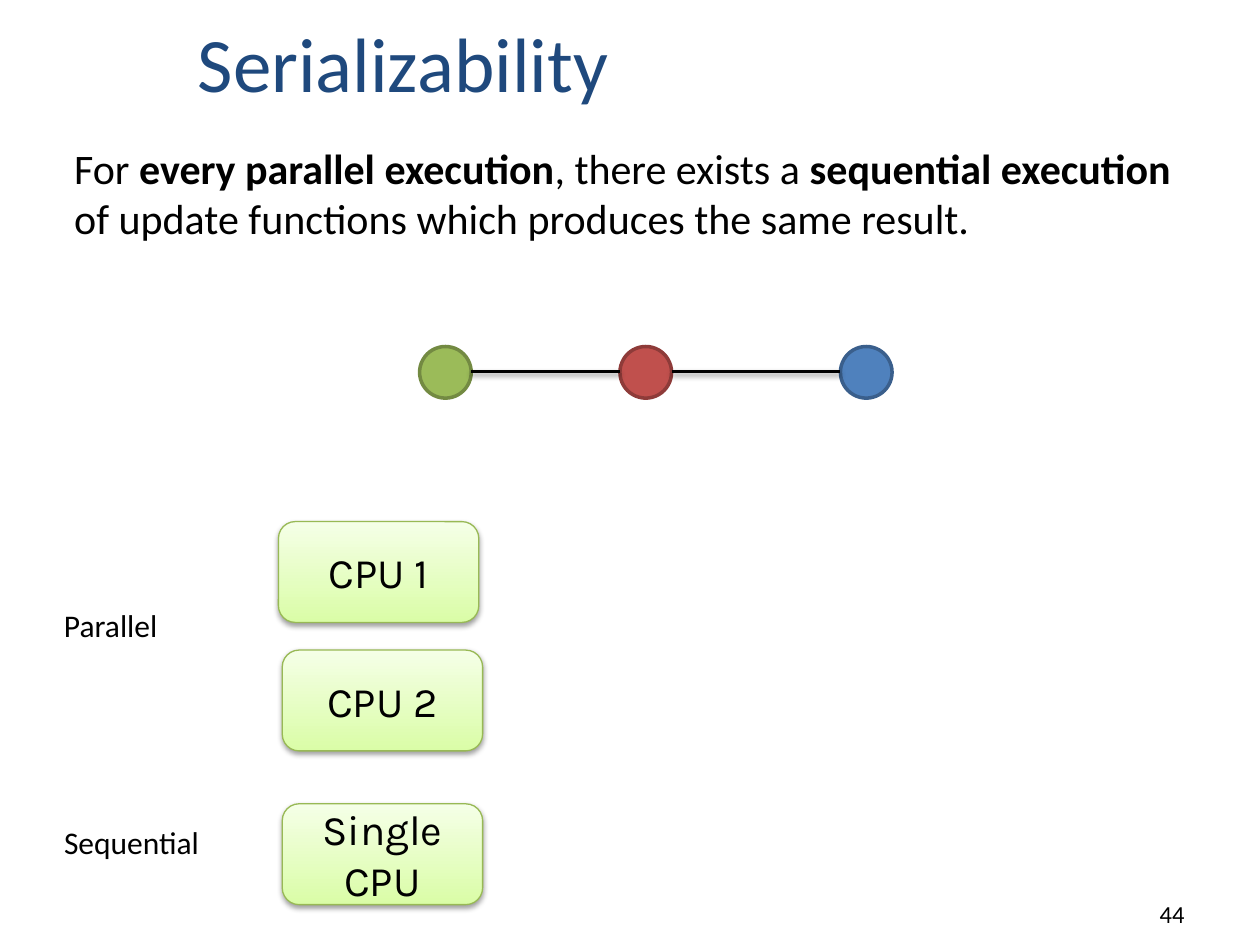
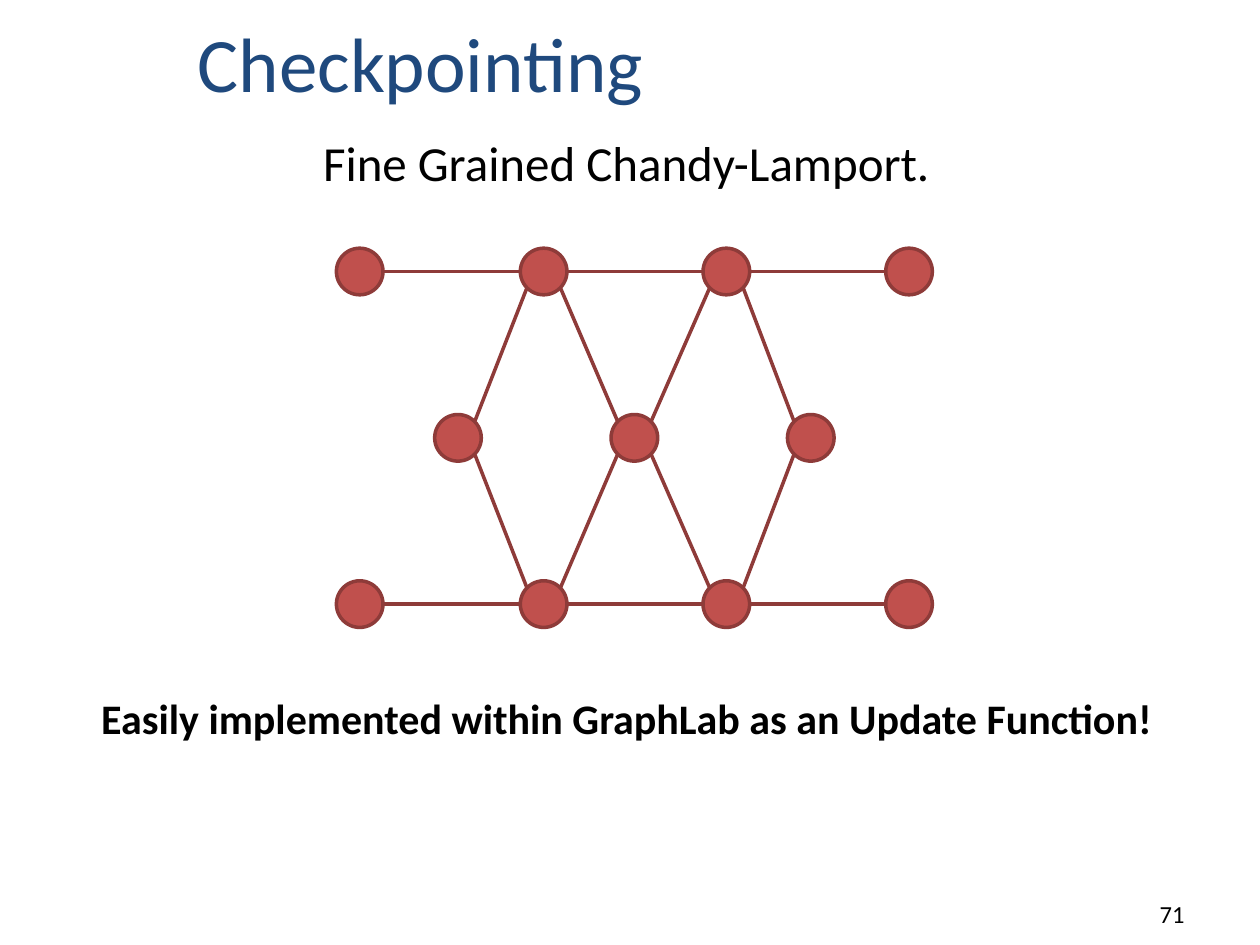
from itertools import pairwise
from lxml import etree
from pptx import Presentation
from pptx.dml.color import RGBColor as RGB
from pptx.enum.shapes import MSO_CONNECTOR as LINK, MSO_SHAPE as FORM
from pptx.enum.text import MSO_ANCHOR as ANCHOR, PP_ALIGN as ALIGN
from pptx.oxml.ns import qn
from pptx.util import Pt

PX = 9144
HUES = {
    "title": "1F497D", "ink": "000000",
    "red": "C0504D", "red edge": "8E3B39",
    "blue": "4F81BD", "blue edge": "3A5F8C",
    "green": "9BBB59", "green edge": "738A42",
    "cpu low": "DAFDA7", "cpu high": "F5FFE7", "cpu edge": "98B955",
}
HUES = {name: RGB.from_string(code) for name, code in HUES.items()}


def dot(tree, x, y, size, hue):
    disc = tree.add_shape(FORM.OVAL, x * PX, y * PX, size * PX, size * PX)
    disc.shadow.inherit = False
    disc.fill.solid()
    disc.fill.fore_color.rgb = HUES[hue]
    disc.line.color.rgb = HUES[hue + " edge"]
    disc.line.width = Pt(2)


def join(tree, ends, hue):
    x1, y1, x2, y2 = [round(v * PX) for v in ends]
    wire = tree.add_connector(LINK.STRAIGHT, x1, y1, x2, y2)
    wire.line.color.rgb = HUES[hue]
    wire.line.width = Pt(2)
    etree.SubElement(wire._element.spPr, qn("a:effectLst"))
    return wire


deck = Presentation()
deck.slide_width, deck.slide_height = 1000 * PX, 750 * PX

plans = [
    (5, "Serializability", "44", [
        ((49, 108, 900, 91), 24, ALIGN.LEFT, [
            ("For ", False), ("every parallel execution", True),
            (", there exists a ", False), ("sequential execution ", True),
            ("of update functions which produces the same result.", False)]),
        ((41, 476, 126, 50), 18, ALIGN.LEFT, [("Parallel", False)]),
        ((41, 648, 175, 50), 18, ALIGN.LEFT, [("Sequential", False)]),
    ]),
    (1, "Checkpointing", "71", [
        ((28, 545, 939, 50), 24, ALIGN.CENTER, [
            ("Easily implemented within GraphLab as an Update Function!", True)]),
    ]),
]

for kind, name, page, notes in plans:
    slide = deck.slides.add_slide(deck.slide_layouts[kind])
    head = slide.shapes.title
    head.left, head.top, head.width, head.height = [v * PX for v in (147, 8, 820, 83)]
    head.text_frame.text = name
    head.text_frame.vertical_anchor = ANCHOR.BOTTOM
    para = head.text_frame.paragraphs[0]
    para.alignment = ALIGN.LEFT
    para.font.name, para.font.size = "Calibri", Pt(44)
    para.font.color.rgb = HUES["title"]

    foot = ((742, 692, 208, 50), 14, ALIGN.RIGHT, [(page, False)])
    for box, size, align, runs in notes + [foot]:
        frame = slide.shapes.add_textbox(*[v * PX for v in box]).text_frame
        frame.word_wrap = True
        frame.vertical_anchor = ANCHOR.BOTTOM if runs[0][0] == page else ANCHOR.TOP
        para = frame.paragraphs[0]
        para.alignment = align
        para.font.name, para.font.size = "Calibri", Pt(size)
        para.font.color.rgb = HUES["ink"]
        for words, bold in runs:
            run = para.add_run()
            run.text = words
            run.font.bold = bold

serial, check = deck.slides

shaded = []
for x, y, words in [(221, 414, "CPU 1"), (224, 516, "CPU 2"), (224, 638, "Single\nCPU")]:
    cpu = serial.shapes.add_shape(FORM.ROUNDED_RECTANGLE, x * PX, y * PX, 159 * PX, 80 * PX)
    cpu.shadow.inherit = False
    cpu.fill.gradient()
    cpu.fill.gradient_angle = 90
    for stop, hue in zip(cpu.fill.gradient_stops, ("cpu low", "cpu high")):
        stop.color.rgb = HUES[hue]
    cpu.line.color.rgb = HUES["cpu edge"]
    cpu.line.width = Pt(0.75)
    frame = cpu.text_frame
    frame.text = words
    frame.word_wrap = False
    frame.vertical_anchor = ANCHOR.MIDDLE
    for para in frame.paragraphs:
        para.alignment = ALIGN.CENTER
        para.font.name, para.font.size = "Karla", Pt(24)
        para.font.color.rgb = HUES["ink"]
    shaded.append(cpu)

chain = [(333, "green"), (492, "red"), (667, "blue")]
for x, hue in chain:
    dot(serial.shapes, x, 275, 41, hue)
for (left, _), (right, _) in pairwise(chain):
    shaded.append(join(serial.shapes, (left + 41, 295, right, 295), "ink"))

for shape in shaded:
    glow = shape._element.spPr.find(qn("a:effectLst"))
    cast = etree.SubElement(glow, qn("a:outerShdw"), blurRad="40000", dist="20000",
                            dir="5400000", rotWithShape="0")
    tint = etree.SubElement(cast, qn("a:srgbClr"), val="000000")
    etree.SubElement(tint, qn("a:alpha"), val="38000")

body = check.placeholders[1]
body.left, body.top, body.width, body.height = [v * PX for v in (43, 100, 908, 58)]
body.text_frame.text = "Fine Grained Chandy-Lamport."
para = body.text_frame.paragraphs[0]
props = para._p.get_or_add_pPr()
props.set("marL", "0")
props.set("indent", "0")
etree.SubElement(props, qn("a:buNone"))
para.alignment = ALIGN.CENTER
para.space_before = Pt(0)
para.font.name, para.font.size = "Calibri", Pt(28)
para.font.color.rgb = HUES["ink"]

SIZE, NEAR, FAR = 37, 5, 32
outer, inner = (267, 413, 558, 703), (345, 485, 625)
top, mid, low = 197, 329, 461
graph = check.shapes.add_group_shape().shapes
for y, row in [(top, outer), (mid, inner), (low, outer)]:
    for x in row:
        dot(graph, x, y, SIZE, "red")
for y in (top, low):
    for left, right in pairwise(outer):
        join(graph, (left + SIZE, y + SIZE / 2, right, y + SIZE / 2), "red edge")
    rise = (NEAR, FAR) if y < mid else (FAR, NEAR)
    for i, o in [(0, 1), (1, 1), (1, 2), (2, 2)]:
        run = (FAR, NEAR) if inner[i] < outer[o] else (NEAR, FAR)
        join(graph, (inner[i] + run[0], mid + rise[0], outer[o] + run[1], y + rise[1]), "red edge")

deck.save("out.pptx")
